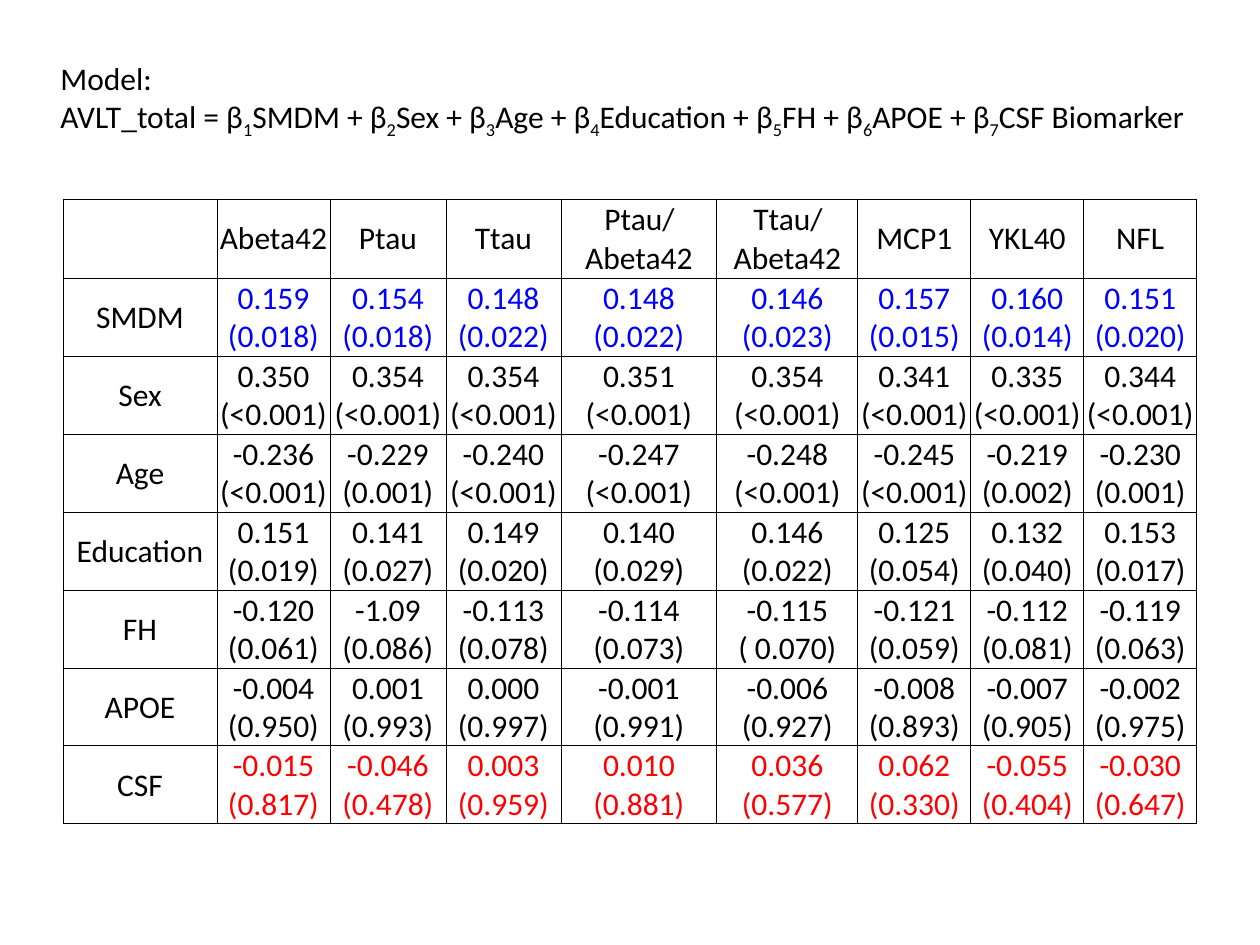
from dataclasses import dataclass

from lxml import etree
from pptx import Presentation
from pptx.dml.color import RGBColor
from pptx.enum.text import MSO_ANCHOR, MSO_AUTO_SIZE, PP_ALIGN
from pptx.oxml.ns import qn
from pptx.slide import Slide
from pptx.table import _Cell
from pptx.text.text import _Paragraph
from pptx.util import Emu, Pt

MIDDLE, BOTTOM = MSO_ANCHOR.MIDDLE, MSO_ANCHOR.BOTTOM
CENTER = PP_ALIGN.CENTER
FIT_SHAPE = MSO_AUTO_SIZE.SHAPE_TO_FIT_TEXT
PX_PER_INCH = 126


@dataclass(frozen=True)
class Theme:
    font: str = "Calibri"
    text_size: int = 18
    border_width: float = 0.5
    text: str = "000000"
    highlight: str = "0000FF"
    biomarker: str = "FF0000"


THEME = Theme()


@dataclass(frozen=True)
class Predictor:
    name: str
    estimates: list[str]
    color: str = THEME.text


HEADERS = ["", "Abeta42", "Ptau", "Ttau", "Ptau/Abeta42", "Ttau/Abeta42", "MCP1", "YKL40", "NFL"]
COLUMN_WIDTHS = [154, 113, 116, 115, 156, 141, 113, 113, 113]
HEADER_HEIGHT, ROW_HEIGHT = 79, 78
MODEL_TERMS = ["SMDM", "Sex", "Age", "Education", "FH", "APOE", "CSF Biomarker"]

PREDICTORS = [
    Predictor("SMDM", [
        "0.159 (0.018)", "0.154 (0.018)", "0.148 (0.022)", "0.148 (0.022)",
        "0.146 (0.023)", "0.157 (0.015)", "0.160 (0.014)", "0.151 (0.020)",
    ], THEME.highlight),
    Predictor("Sex", [
        "0.350 (<0.001)", "0.354 (<0.001)", "0.354 (<0.001)", "0.351 (<0.001)",
        "0.354 (<0.001)", "0.341 (<0.001)", "0.335 (<0.001)", "0.344 (<0.001)",
    ]),
    Predictor("Age", [
        "-0.236 (<0.001)", "-0.229 (0.001)", "-0.240 (<0.001)", "-0.247 (<0.001)",
        "-0.248 (<0.001)", "-0.245 (<0.001)", "-0.219 (0.002)", "-0.230 (0.001)",
    ]),
    Predictor("Education", [
        "0.151 (0.019)", "0.141 (0.027)", "0.149 (0.020)", "0.140 (0.029)",
        "0.146 (0.022)", "0.125 (0.054)", "0.132 (0.040)", "0.153 (0.017)",
    ]),
    Predictor("FH", [
        "-0.120 (0.061)", "-1.09 (0.086)", "-0.113 (0.078)", "-0.114 (0.073)",
        "-0.115 ( 0.070)", "-0.121 (0.059)", "-0.112 (0.081)", "-0.119 (0.063)",
    ]),
    Predictor("APOE", [
        "-0.004 (0.950)", "0.001 (0.993)", "0.000 (0.997)", "-0.001 (0.991)",
        "-0.006 (0.927)", "-0.008 (0.893)", "-0.007 (0.905)", "-0.002 (0.975)",
    ]),
    Predictor("CSF", [
        "-0.015 (0.817)", "-0.046 (0.478)", "0.003 (0.959)", "0.010 (0.881)",
        "0.036 (0.577)", "0.062 (0.330)", "-0.055 (0.404)", "-0.030 (0.647)",
    ], THEME.biomarker),
]


def px(length: int) -> Emu:
    return Emu(round(length * 914400 / PX_PER_INCH))


def add_run(paragraph: _Paragraph, text: str, color: str = THEME.text,
            subscript: bool = False) -> None:
    run = paragraph.add_run()
    run.text = text
    run.font.name = THEME.font
    run.font.size = Pt(THEME.text_size)
    run.font.color.rgb = RGBColor.from_string(color)
    if subscript:
        run.font._element.set("baseline", "-25000")


def add_borders(cell: _Cell) -> None:
    """Outline all four sides; borders must precede the fill in the cell properties."""
    properties = cell._tc.get_or_add_tcPr()
    for position, side in enumerate(("a:lnL", "a:lnR", "a:lnT", "a:lnB")):
        line = etree.Element(qn(side), w=str(Pt(THEME.border_width)))
        fill = etree.SubElement(line, qn("a:solidFill"))
        etree.SubElement(fill, qn("a:srgbClr"), val=THEME.text)
        properties.insert(position, line)


def fill_cell(cell: _Cell, text: str, color: str, anchor: MSO_ANCHOR) -> None:
    cell.fill.background()
    add_borders(cell)
    cell.margin_left = cell.margin_right = cell.margin_top = px(1)
    cell.margin_bottom = 0
    cell.vertical_anchor = anchor
    paragraph = cell.text_frame.paragraphs[0]
    paragraph.alignment = CENTER
    if text:
        add_run(paragraph, text, color)


def add_results_table(slide: Slide) -> None:
    row_heights = [HEADER_HEIGHT] + [ROW_HEIGHT] * len(PREDICTORS)
    table = slide.shapes.add_table(
        len(row_heights), len(HEADERS), px(63), px(199),
        px(sum(COLUMN_WIDTHS)), px(sum(row_heights))).table
    table.first_row = table.horz_banding = False
    for column, width in zip(table.columns, COLUMN_WIDTHS):
        column.width = px(width)
    for row, height in zip(table.rows, row_heights):
        row.height = px(height)

    for column, header in enumerate(HEADERS):
        fill_cell(table.cell(0, column), header, THEME.text, MIDDLE)
    for row, predictor in enumerate(PREDICTORS, start=1):
        fill_cell(table.cell(row, 0), predictor.name, THEME.text, MIDDLE)
        for column, estimate in enumerate(predictor.estimates, start=1):
            fill_cell(table.cell(row, column), estimate, predictor.color, BOTTOM)


def add_model_formula(slide: Slide) -> None:
    text_frame = slide.shapes.add_textbox(px(48), px(53), px(1172), px(89)).text_frame
    text_frame.word_wrap = True
    text_frame.auto_size = FIT_SHAPE
    add_run(text_frame.paragraphs[0], "Model:")
    formula = text_frame.add_paragraph()
    lead = "AVLT_total = β"
    for index, term in enumerate(MODEL_TERMS, start=1):
        add_run(formula, lead)
        add_run(formula, str(index), subscript=True)
        lead = f"{term} + β"
    add_run(formula, MODEL_TERMS[-1])


def main() -> None:
    presentation = Presentation()
    presentation.slide_width, presentation.slide_height = px(1260), px(945)
    slide = presentation.slides.add_slide(presentation.slide_layouts[6])
    add_results_table(slide)
    add_model_formula(slide)
    presentation.save("out.pptx")


if __name__ == "__main__":
    main()
